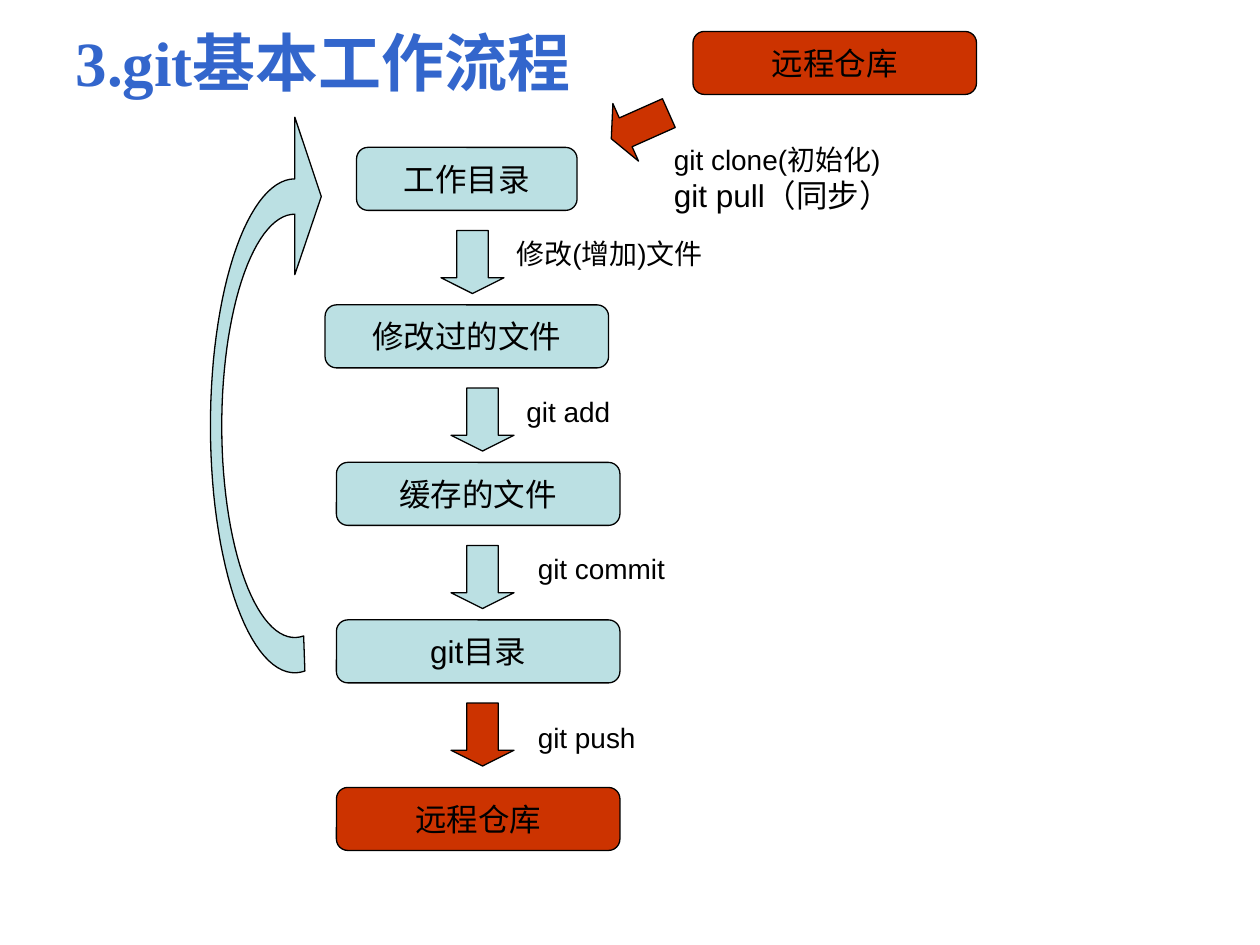
from dataclasses import dataclass
from math import asin, cos, pi, sin

from pptx import Presentation
from pptx.dml.color import RGBColor
from pptx.enum.shapes import MSO_SHAPE
from pptx.enum.text import MSO_ANCHOR, PP_ALIGN
from pptx.util import Inches, Pt

BLACK = RGBColor(0x00, 0x00, 0x00)
TITLE_BLUE = RGBColor(0x33, 0x66, 0xCC)
LOCAL = RGBColor(0xBB, 0xE0, 0xE3)
REMOTE = RGBColor(0xCC, 0x33, 0x00)


@dataclass
class Stage:
    text: str
    left: float
    top: float
    width: float = 2.25
    color: RGBColor = LOCAL


@dataclass
class Arrow:
    left: float
    top: float
    color: RGBColor = LOCAL
    rotation: float = 0


@dataclass
class Label:
    lines: list[tuple[str, int]]
    left: float
    top: float
    width: float
    height: float = 0.37


STAGES = [
    Stage("工作目录", 2.83, 1.17, 1.75),
    Stage("修改过的文件", 2.58, 2.42),
    Stage("缓存的文件", 2.67, 3.67),
    Stage("git目录", 2.67, 4.92),
    Stage("远程仓库", 2.67, 6.25, color=REMOTE),
    Stage("远程仓库", 5.5, 0.25, color=REMOTE),
]
ARROWS = [
    Arrow(3.5, 1.83),
    Arrow(3.58, 3.08),
    Arrow(3.58, 4.33),
    Arrow(3.58, 5.58, REMOTE),
    Arrow(4.83, 0.75, REMOTE, 66),
]
LABELS = [
    Label([("修改(增加)文件", 16)], 4, 1.83, 1.75, 0.64),
    Label([("git add", 16)], 4.08, 3.08, 1.43),
    Label([("git commit", 16)], 4.17, 4.33, 1.43),
    Label([("git push", 16)], 4.17, 5.67, 1.43),
    Label([("git clone(初始化)", 16), ("git pull（同步）", 18)], 5.25, 1.08, 2.08, 0.67),
]


def add_run(p, text: str, size: int, name: str = "Arial",
            color: RGBColor = BLACK, bold: bool = False) -> None:
    r = p.add_run()
    r.text = text
    for key, value in {"size": Pt(size), "name": name, "bold": bold}.items():
        setattr(r.font, key, value)
    r.font.color.rgb = color


def style(sp, color: RGBColor) -> None:
    sp.shadow.inherit = False
    sp.fill.solid()
    sp.fill.fore_color.rgb = color
    sp.line.color.rgb = BLACK
    sp.line.width = Pt(0.75)


def add_stage(s, stage: Stage) -> None:
    sp = s.shapes.add_shape(MSO_SHAPE.ROUNDED_RECTANGLE, Inches(stage.left),
                            Inches(stage.top), Inches(stage.width), Inches(0.5))
    sp.adjustments[0] = 0.18
    style(sp, stage.color)
    tf = sp.text_frame
    tf.word_wrap = False
    tf.vertical_anchor = MSO_ANCHOR.MIDDLE
    p = tf.paragraphs[0]
    p.alignment = PP_ALIGN.CENTER
    add_run(p, stage.text, 18)


def add_arrow(s, arrow: Arrow) -> None:
    sp = s.shapes.add_shape(MSO_SHAPE.DOWN_ARROW, Inches(arrow.left),
                            Inches(arrow.top), Inches(0.5), Inches(0.5))
    sp.adjustments[0] = 0.5
    sp.adjustments[1] = 0.25
    sp.rotation = arrow.rotation
    style(sp, arrow.color)


def add_label(s, label: Label) -> None:
    sp = s.shapes.add_textbox(Inches(label.left), Inches(label.top),
                              Inches(label.width), Inches(label.height))
    tf = sp.text_frame
    tf.word_wrap = True
    for i, (text, size) in enumerate(label.lines):
        p = tf.add_paragraph() if i else tf.paragraphs[0]
        add_run(p, text, size)


def arc(rx: float, ry: float, tail: float, steps: int = 60) -> list[tuple[float, float]]:
    """Left half of an ellipse, from its top to just past its bottom."""
    cx, cy = 2.34, 3.38
    sweep = pi + asin(tail / rx)
    angles = [sweep * i / steps for i in range(steps + 1)]
    return [(cx - rx * sin(a), cy - ry * cos(a)) for a in angles]


def add_return_arrow(s) -> None:
    inner = arc(0.58, 1.68, 0.07)
    outer = arc(0.67, 1.96, 0.08)
    head = [(2.34, 0.93), (2.55, 1.56), (2.34, 2.18)]
    points = [(Inches(x), Inches(y)) for x, y in inner + outer[::-1] + head]
    builder = s.shapes.build_freeform(*points[0])
    builder.add_line_segments(points[1:], close=True)
    style(builder.convert_to_shape(), LOCAL)


def main() -> None:
    prs = Presentation()
    prs.slide_width, prs.slide_height = Inches(10), Inches(7.5)
    s = prs.slides.add_slide(prs.slide_layouts[5])

    # Title
    title = s.shapes.title
    frame = {"left": 0.5, "top": 0, "width": 9, "height": 0.97}
    for key, value in frame.items():
        setattr(title, key, Inches(value))
    tf = title.text_frame
    tf.vertical_anchor = MSO_ANCHOR.MIDDLE
    p = tf.paragraphs[0]
    p.alignment = PP_ALIGN.LEFT
    add_run(p, "3.git基本工作流程", 36, "Times New Roman", TITLE_BLUE, True)

    # Workflow stages, the arrows between them and their commands
    for stage in STAGES:
        add_stage(s, stage)
    for arrow in ARROWS:
        add_arrow(s, arrow)
    for label in LABELS:
        add_label(s, label)

    # Curved arrow back to the working directory
    add_return_arrow(s)

    prs.save("out.pptx")


if __name__ == "__main__":
    main()
